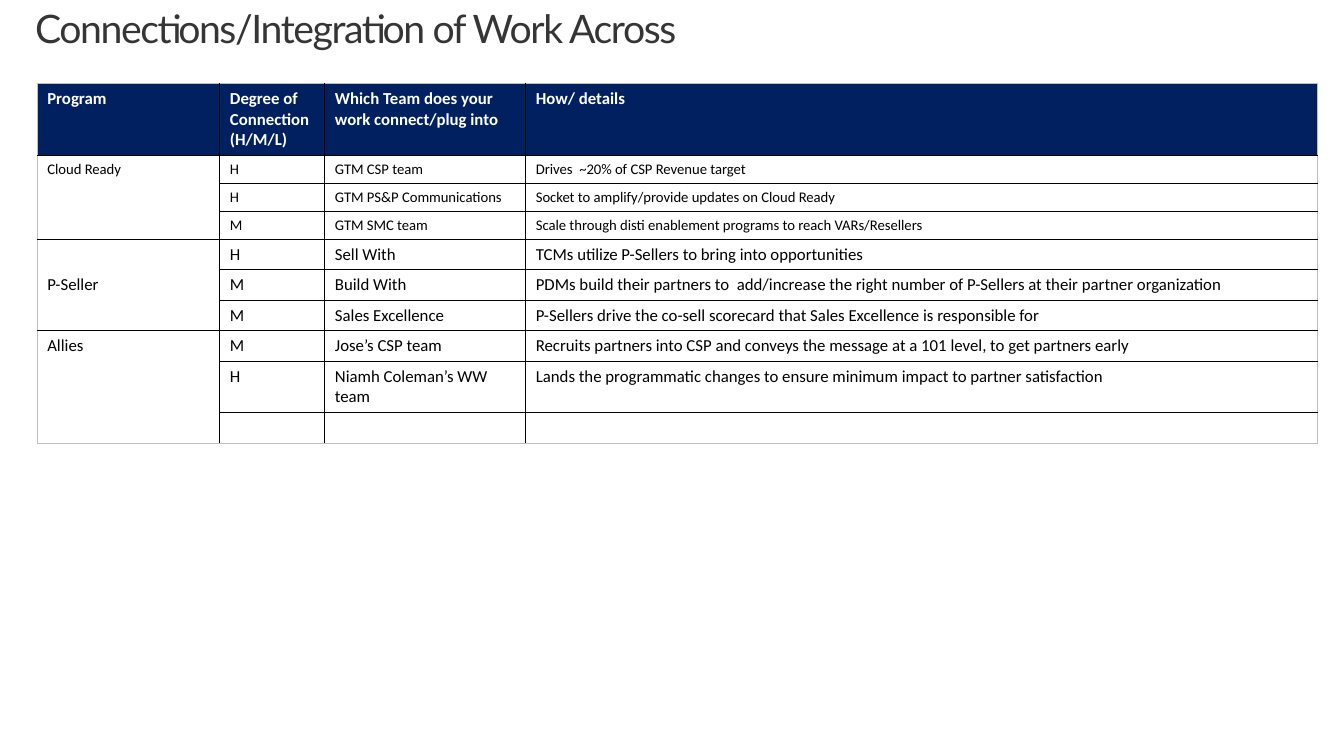
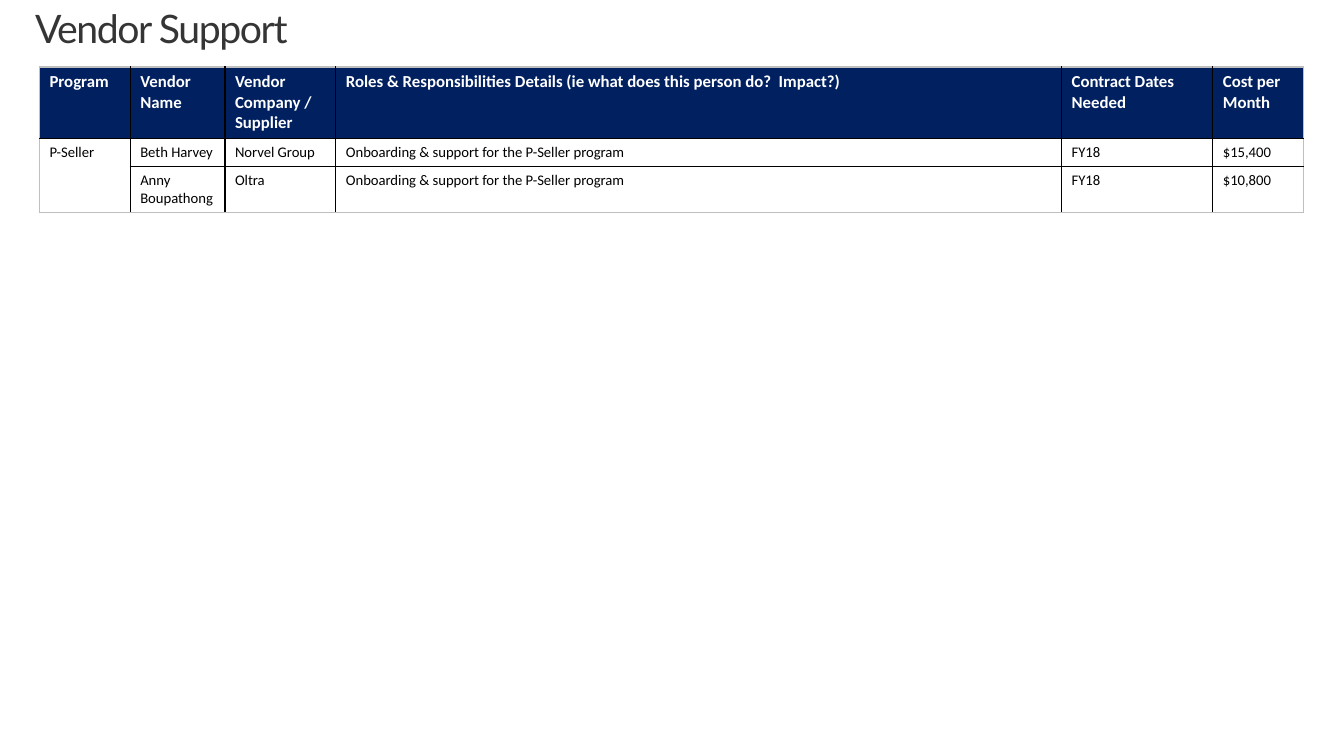
from dataclasses import dataclass

from lxml.etree import SubElement
from pptx import Presentation
from pptx.dml.color import RGBColor as Color
from pptx.enum.text import MSO_ANCHOR as Anchor, MSO_AUTO_SIZE as AutoSize, PP_ALIGN as Align
from pptx.oxml.ns import qn
from pptx.util import Pt


@dataclass(frozen=True)
class Theme:
    title_font: str = "Lato"
    table_font: str = "Calibri"
    title_color: str = "353535"
    header_fill: str = "002060"
    header_text: str = "FFFFFF"
    body_text: str = "000000"
    grid: str = "000000"
    frame: str = "BFBFBF"
    title_size: float = 28
    large: float = 12
    small: float = 10.5
    title_spacing: float = -1
    border: float = 1


THEME = Theme()
SLIDE_SIZE = (960, 540)
TITLE_BOX = (13.5, 0, 918, 70.5)
TITLE_INSETS = (11.5, 7.2)
LAYOUT_TITLE_ONLY = 5

# Each group: program, text size, vertical anchor, rows beside the program cell
SLIDES = [
    {
        "title": "Connections/Integration of Work Across",
        "position": (26.6, 59.8),
        "columns": [130.5, 75, 143.5, 565.5],
        "heights": [50.5] + [19.7] * 3 + [21.7] * 4 + [36, 21.7],
        "header": ["Program", "Degree of Connection (H/M/L)",
                   "Which Team does your work connect/plug into", "How/ details"],
        "groups": [
            ("Cloud Ready", THEME.small, Anchor.TOP, [
                ("H", "GTM CSP team", "Drives  ~20% of CSP Revenue target"),
                ("H", "GTM PS&P Communications",
                 "Socket to amplify/provide updates on Cloud Ready"),
                ("M", "GTM SMC team",
                 "Scale through disti enablement programs to reach VARs/Resellers"),
            ]),
            ("P-Seller", THEME.large, Anchor.MIDDLE, [
                ("H", "Sell With", "TCMs utilize P-Sellers to bring into opportunities"),
                ("M", "Build With",
                 "PDMs build their partners to  add/increase the right number of "
                 "P-Sellers at their partner organization"),
                ("M", "Sales Excellence",
                 "P-Sellers drive the co-sell scorecard that Sales Excellence is responsible for"),
            ]),
            ("Allies", THEME.large, Anchor.TOP, [
                ("M", "Jose’s CSP team",
                 "Recruits partners into CSP and conveys the message at a 101 level, "
                 "to get partners early"),
                ("H", "Niamh Coleman’s WW team",
                 "Lands the programmatic changes to ensure minimum impact to partner satisfaction"),
                ("", "", ""),
            ]),
        ],
    },
    {
        "title": "Vendor Support",
        "position": (28.2, 47.8),
        "columns": [64.8, 67.7, 79.2, 518.4, 108, 64.8],
        "heights": [50.5, 19.9, 32.4],
        "header": ["Program", "Vendor Name", "Vendor Company / Supplier",
                   "Roles & Responsibilities Details (ie what does this person do?  Impact?)",
                   "Contract Dates Needed", "Cost per Month"],
        "groups": [
            ("P-Seller", THEME.small, Anchor.TOP, [
                ("Beth Harvey", "Norvel Group",
                 "Onboarding & support for the P-Seller program", "FY18", "$15,400"),
                ("Anny Boupathong", "Oltra",
                 "Onboarding & support for the P-Seller program", "FY18", "$10,800"),
            ]),
        ],
    },
]


def add_title(page, text):
    title = page.shapes.title
    title.left, title.top, title.width, title.height = map(Pt, TITLE_BOX)
    frame = title.text_frame
    frame.text = text
    frame.word_wrap = True
    frame.auto_size = AutoSize.NONE
    frame.vertical_anchor = Anchor.TOP
    frame.margin_left = frame.margin_right = Pt(TITLE_INSETS[0])
    frame.margin_top = frame.margin_bottom = Pt(TITLE_INSETS[1])
    para = frame.paragraphs[0]
    para.alignment = Align.LEFT
    para.line_spacing = 0.9
    span = para.runs[0]
    span.font.name = THEME.title_font
    span.font.size = Pt(THEME.title_size)
    span.font.color.rgb = Color.from_string(THEME.title_color)
    span.font._element.set("spc", str(int(THEME.title_spacing * 100)))


def fill_cell(cell, text, size, color, bold=False):
    cell.text_frame.text = text
    para = cell.text_frame.paragraphs[0]
    if not text:
        # An empty cell takes its line height from the end-of-paragraph size
        SubElement(para._p, qn("a:endParaRPr"), sz=str(int(size * 100)))
    for span in para.runs:
        span.font.name = THEME.table_font
        span.font.size = Pt(size)
        span.font.bold = bold
        span.font.color.rgb = Color.from_string(color)


def set_borders(cell, outer_sides):
    """Draw grid lines, with the frame colour on the table's outer sides."""
    properties = cell._tc.get_or_add_tcPr()
    for index, side in enumerate("LRTB"):
        line = SubElement(properties, qn(f"a:ln{side}"), w=str(Pt(THEME.border)))
        properties.insert(index, line)
        solid = SubElement(line, qn("a:solidFill"))
        color = THEME.frame if side in outer_sides else THEME.grid
        SubElement(solid, qn("a:srgbClr"), val=color)


def add_grid(page, content):
    columns, heights = content["columns"], content["heights"]
    left, top = content["position"]
    table = page.shapes.add_table(len(heights), len(columns), Pt(left), Pt(top),
                                  Pt(sum(columns)), Pt(sum(heights))).table
    table.horz_banding = False
    for column, width in zip(table.columns, columns):
        column.width = Pt(width)
    for row, height in zip(table.rows, heights):
        row.height = Pt(height)

    for index, text in enumerate(content["header"]):
        fill_cell(table.cell(0, index), text, THEME.large, THEME.header_text, bold=True)

    start = 1
    for program, size, anchor, rows in content["groups"]:
        for offset, values in enumerate(rows):
            texts = ("" if offset else program, *values)
            for index, text in enumerate(texts):
                fill_cell(table.cell(start + offset, index), text, size, THEME.body_text)
        program_cell = table.cell(start, 0)
        program_cell.merge(table.cell(start + len(rows) - 1, 0))
        program_cell.vertical_anchor = anchor
        start += len(rows)

    last_row, last_column = len(heights) - 1, len(columns) - 1
    for y in range(len(heights)):
        for x in range(len(columns)):
            cell = table.cell(y, x)
            if y == 0:
                cell.fill.solid()
                cell.fill.fore_color.rgb = Color.from_string(THEME.header_fill)
            else:
                cell.fill.background()
            bottom = y + (cell.span_height if cell.is_merge_origin else 1) - 1
            edges = {"L": x == 0, "R": x == last_column, "T": y == 0, "B": bottom == last_row}
            set_borders(cell, [side for side, outer in edges.items() if outer])


def main():
    deck = Presentation()
    deck.slide_width, deck.slide_height = map(Pt, SLIDE_SIZE)
    for content in SLIDES:
        page = deck.slides.add_slide(deck.slide_layouts[LAYOUT_TITLE_ONLY])
        add_title(page, content["title"])
        add_grid(page, content)
    deck.save("out.pptx")


if __name__ == "__main__":
    main()
